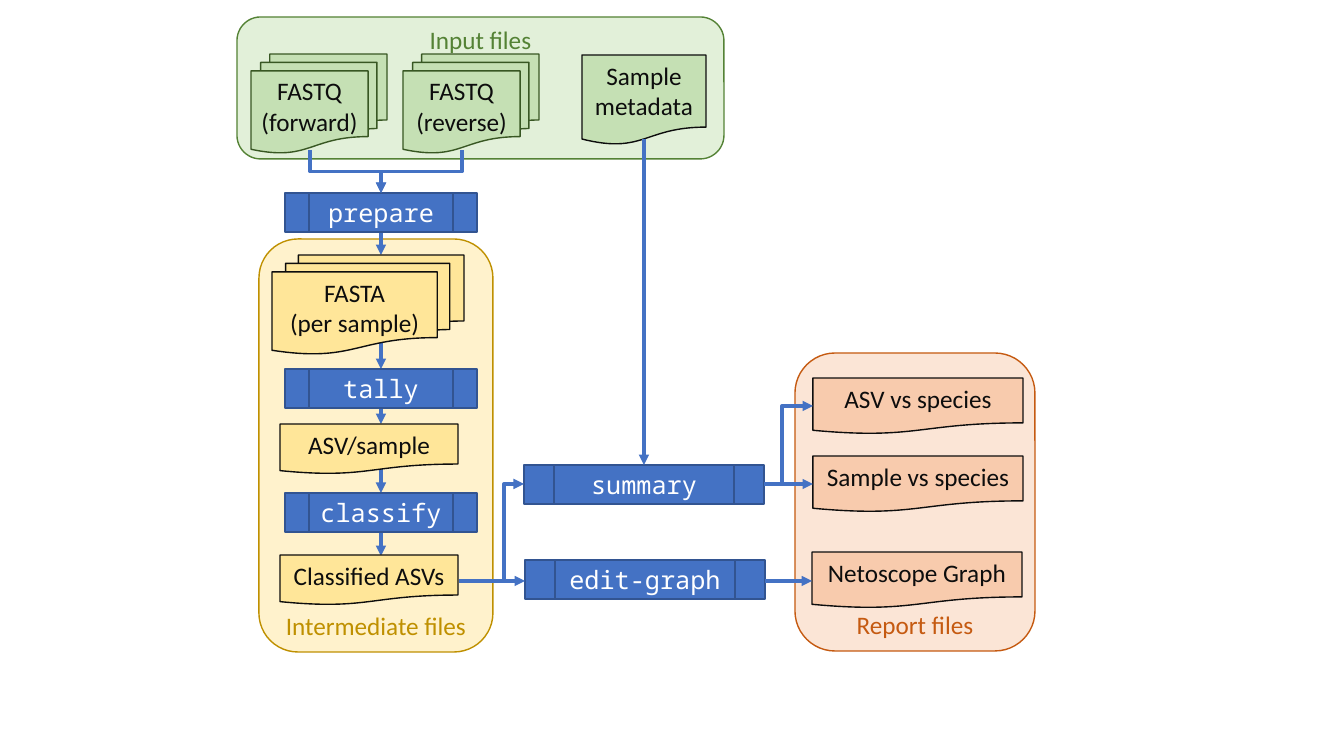
from lxml.etree import SubElement
from pptx import Presentation
from pptx.dml.color import RGBColor
from pptx.enum.shapes import MSO_CONNECTOR, MSO_SHAPE
from pptx.enum.text import MSO_ANCHOR, PP_ALIGN
from pptx.oxml.ns import qn
from pptx.util import Emu, Pt

PIXEL = 914400 / 100.8
INK, BLUE = "0D0D0D", "4472C4"
AXIS = 381  # centre line of the main pipeline
EDIT_Y, SUMMARY_Y = 581, 484

# text, left, top, width, height, fill, accent, label position
GROUPS = [
    ("Intermediate files", 259, 239, 234, 413, "FFF2CC", "BF9000", MSO_ANCHOR.BOTTOM),
    ("Report files", 795, 353, 240, 298, "FBE5D6", "C55A11", MSO_ANCHOR.BOTTOM),
    ("Input files", 237, 17, 487, 142, "E2F0D9", "548235", MSO_ANCHOR.TOP),
]
# text, left, top, width, height, fill, line
STACKS = [
    ("FASTQ\n(forward)", 251, 54, 136, 99, "C5E0B4", "385723"),
    ("FASTQ\n(reverse)", 403, 54, 136, 99, "C5E0B4", "385723"),
    ("FASTA\n(per sample)", 272, 255, 192, 99, "FFE699", INK),
]
DOCUMENTS = [
    ("Sample metadata", 582, 55, 124, 90, "C5E0B4", INK),
    ("ASV/sample", 280, 424, 178, 50, "FFE699", INK),
    ("Classified ASVs", 280, 555, 178, 50, "FFE699", INK),
    ("ASV vs species", 813, 378, 210, 56, "F8CBAD", INK),
    ("Sample vs species", 813, 456, 210, 56, "F8CBAD", INK),
    ("Netoscope Graph", 812, 552, 210, 56, "F8CBAD", INK),
]
# text, left, top, width
STEPS = [
    ("prepare", 285, 193, 192),
    ("tally", 285, 369, 192),
    ("classify", 285, 493, 192),
    ("summary", 524, 465, 240),
    ("edit-graph", 525, 560, 240),
]
STEP_HEIGHT = 39
# top and bottom of the arrows that start behind the pipeline's boxes
PIPELINE_ARROWS = [(231, 255), (255, 369), (387, 424), (448, 493), (520, 556)]
# start x, start y, end x, end y
STRAIGHT_ARROWS = [
    (644, 139, 644, 465),
    (459, EDIT_Y, 525, EDIT_Y),
    (765, EDIT_Y, 812, EDIT_Y),
    (764, SUMMARY_Y, 813, SUMMARY_Y),
]
# start x, start y, end x, end y, position of the bend, first leg is vertical
BENT_ARROWS = [
    (462, 150, AXIS, 193, 0.5, True),
    (310, 150, AXIS, 193, 0.5, True),
    (764, SUMMARY_Y, 813, 406, 0.37, False),
    (459, EDIT_Y, 524, SUMMARY_Y, 0.69, False),
]


def px(length):
    """Turn pixels into EMU."""
    return Emu(round(length * PIXEL))


def color(value):
    """Turn a hex string into a colour."""
    return RGBColor.from_string(value)


def write(shape, text, font="Calibri", ink=INK, anchor=MSO_ANCHOR.TOP):
    """Fill a shape with centred text, one paragraph a line."""
    frame = shape.text_frame
    frame.word_wrap = True
    frame.vertical_anchor = anchor
    frame.text = text
    for paragraph in frame.paragraphs:
        paragraph.alignment = PP_ALIGN.CENTER
        for run in paragraph.runs:
            run.font.name = font
            run.font.size = Pt(18)
            run.font.color.rgb = color(ink)


def add_box(slide, kind, box, fill, line):
    """Add a filled and outlined preset shape."""
    shape = slide.shapes.add_shape(kind, *map(px, box))
    shape.shadow.inherit = False
    shape.fill.solid()
    shape.fill.fore_color.rgb = color(fill)
    shape.line.color.rgb = color(line)
    shape.line.width = Pt(1)
    return shape


def add_arrow(slide, x1, y1, x2, y2, bend=None, vertical=False):
    """Add a straight arrow, or an elbow one when a bend is given."""
    if vertical:  # a quarter turn about the centre makes the first leg vertical
        center_x, center_y = (x1 + x2) / 2, (y1 + y2) / 2
        half_x, half_y = (x2 - x1) / 2, (y2 - y1) / 2
        x1, x2 = center_x - half_y, center_x + half_y
        y1, y2 = center_y + half_x, center_y - half_x
    kind = MSO_CONNECTOR.STRAIGHT if bend is None else MSO_CONNECTOR.ELBOW
    connector = slide.shapes.add_connector(kind, *map(px, (x1, y1, x2, y2)))
    connector.line.color.rgb = color(BLUE)
    connector.line.width = Pt(2.5)
    properties = connector._element.spPr
    SubElement(properties.find(qn("a:ln")), qn("a:tailEnd"), type="triangle")
    SubElement(properties, qn("a:effectLst"))
    if vertical:
        properties.find(qn("a:xfrm")).set("rot", str(90 * 60000))
    if bend is not None:
        guides = properties.find(qn("a:prstGeom")).find(qn("a:avLst"))
        SubElement(guides, qn("a:gd"), name="adj1", fmla=f"val {round(bend * 100000)}")


def build():
    """Draw the workflow and save it."""
    presentation = Presentation()
    presentation.slide_width, presentation.slide_height = px(1344), px(756)
    slide = presentation.slides.add_slide(presentation.slide_layouts[6])

    for text, *box, fill, accent, anchor in GROUPS:
        shape = add_box(slide, MSO_SHAPE.ROUNDED_RECTANGLE, box, fill, accent)
        write(shape, text, ink=accent, anchor=anchor)
        if anchor == MSO_ANCHOR.TOP:
            shape.text_frame.margin_top = 0
        else:
            shape.text_frame.margin_bottom = 0

    for top, bottom in PIPELINE_ARROWS:
        add_arrow(slide, AXIS, top, AXIS, bottom)

    for kind, papers in (
        (MSO_SHAPE.FLOWCHART_MULTIDOCUMENT, STACKS),
        (MSO_SHAPE.FLOWCHART_DOCUMENT, DOCUMENTS),
    ):
        for text, *box, fill, line in papers:
            write(add_box(slide, kind, box, fill, line), text)

    for text, *place in STEPS:
        shape = add_box(slide, MSO_SHAPE.FLOWCHART_PREDEFINED_PROCESS,
                        (*place, STEP_HEIGHT), BLUE, "325491")
        write(shape, text, font="Noto Sans Mono", ink="FFFFFF", anchor=MSO_ANCHOR.MIDDLE)

    for arrow in STRAIGHT_ARROWS + BENT_ARROWS:
        add_arrow(slide, *arrow)

    presentation.save("out.pptx")


build()
